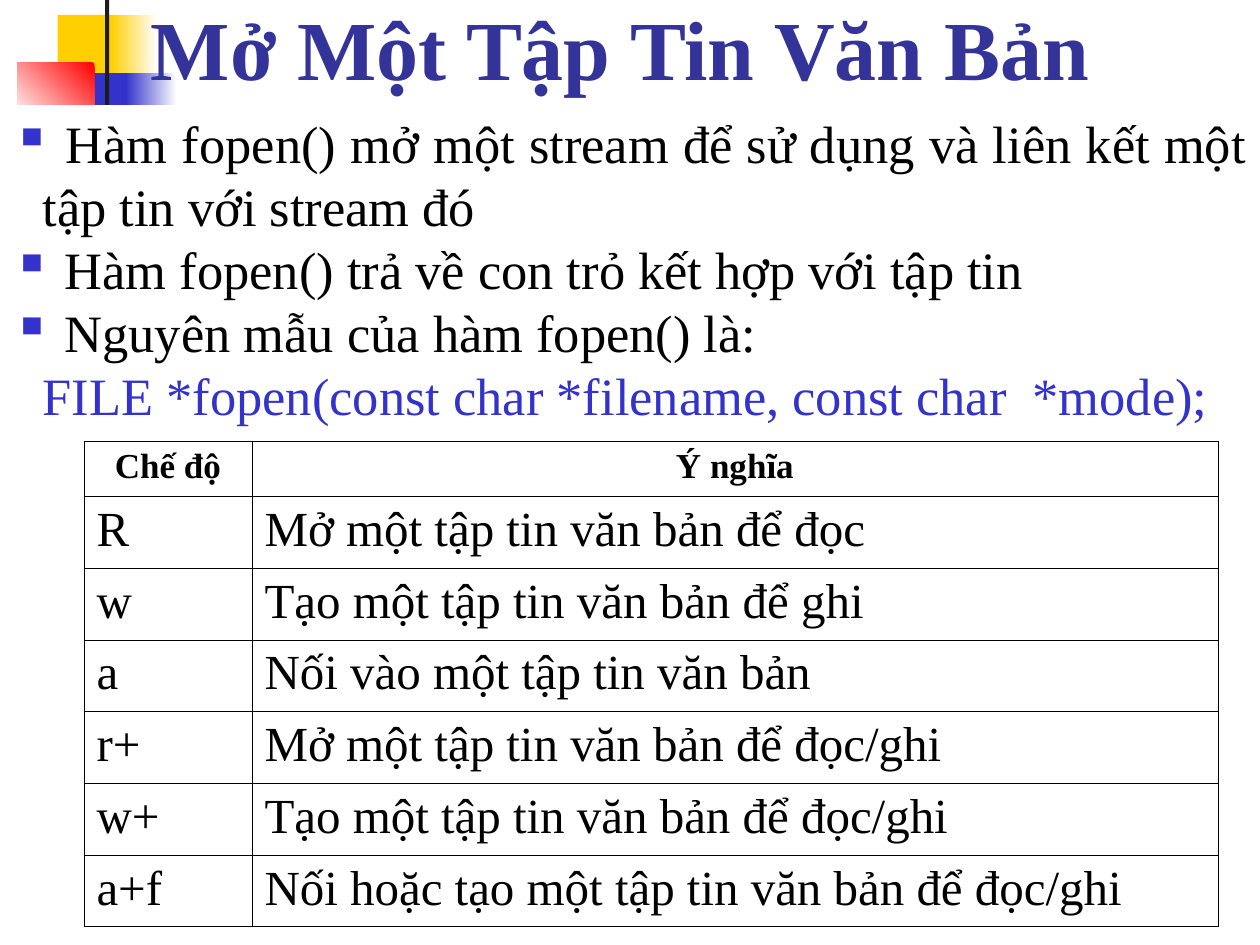
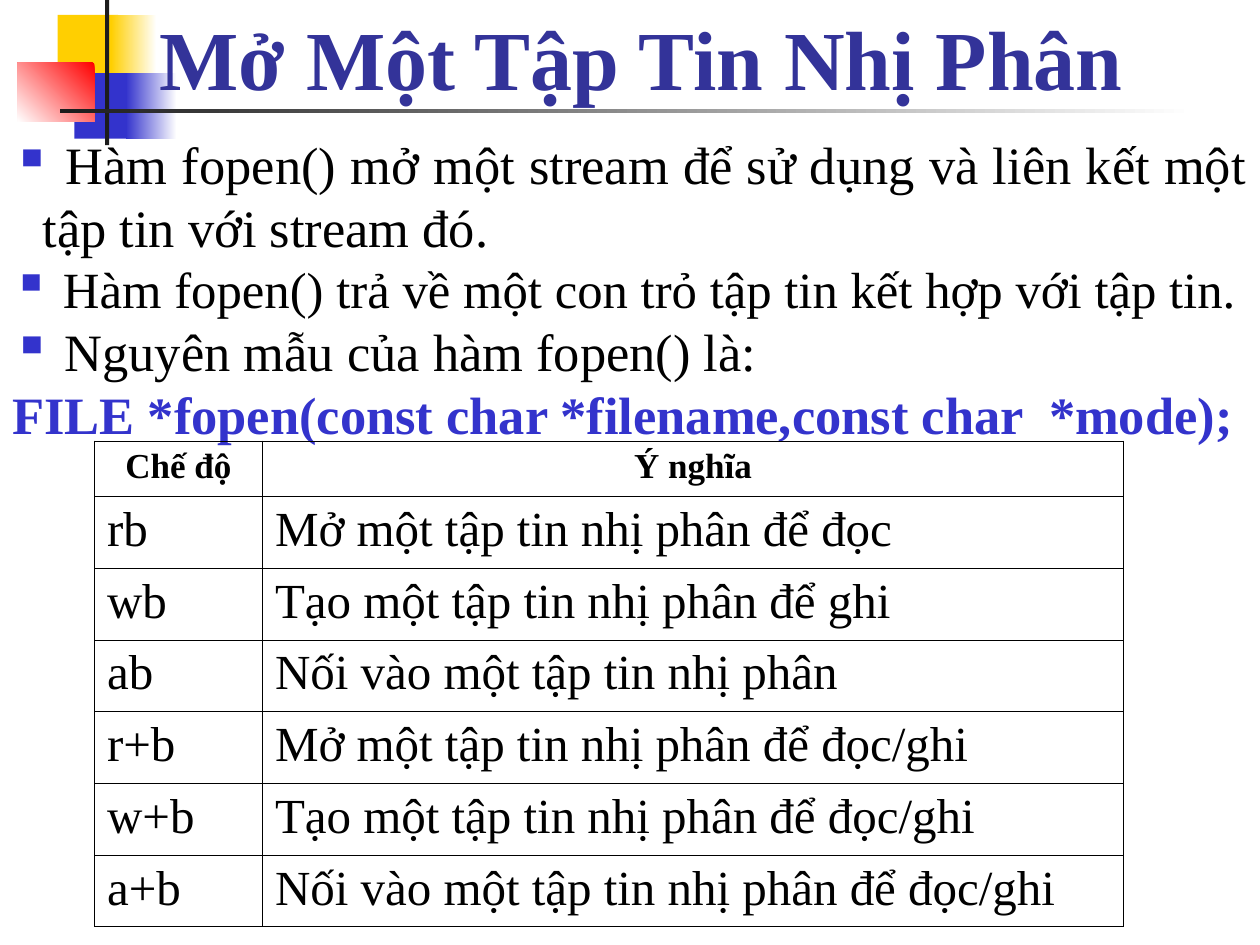
from lxml import etree
from pptx import Presentation
from pptx.dml.color import RGBColor
from pptx.enum import shapes, text
from pptx.oxml import ns
from pptx.util import Pt

FONT = "Times New Roman"
BLACK, WHITE, BLUE, TITLE_BLUE = "000000", "FFFFFF", "3333CC", "333399"
YELLOW, RED, DARK = "FFCF01", "FF0000", "1C1C1C"
HANG = 17.28


def rgb(value):
    return RGBColor.from_string(value)


def write(paragraph, wording, size, color=BLACK, bold=False, align=text.PP_ALIGN.JUSTIFY):
    paragraph.text = wording
    paragraph.alignment = align
    font = paragraph.runs[0].font
    font.name, font.size, font.bold = FONT, Pt(size), bold
    font.color.rgb = rgb(color)


# left, top, width, height, colours from first to last stop, gradient angle
DECORATION = [
    (33, 8.5, 34.5, 37.5, [YELLOW], 0),
    (63.5, 8.5, 26, 37.5, [WHITE, YELLOW], 180),
    (42.5, 41.75, 33, 37.5, [BLUE], 0),
    (72, 41.75, 29, 37.5, [WHITE, BLUE], 180),
    (10, 36, 44, 33.5, [RED, WHITE], 225),
    (60, 0, 2.4, 83, [DARK], 0),
    (34.5, 62.2, 648, 2.2, [WHITE, DARK], 180),
]

SLIDES = [
    {
        "title": "Mở Một Tập Tin Văn Bản",
        "title_box": (79, -5.75, 569, 65),
        "body_box": (0, 60, 720, 187),
        "body_fill": WHITE,
        "points": [
            (" Hàm fopen() mở một stream để sử dụng và liên kết một tập tin với stream đó", 30),
            (" Hàm fopen() trả về con trỏ kết hợp với tập tin", 30),
            (" Nguyên mẫu của hàm fopen() là:", 30),
        ],
        "prototype": "FILE *fopen(const char *filename, const char  *mode);",
        "prototype_indent": 0,
        "prototype_bold": False,
        "table_left": 48,
        "columns": (96, 552),
        "modes": [
            ("R", "Mở một tập tin văn bản để đọc"),
            ("w", "Tạo một tập tin văn bản để ghi"),
            ("a", "Nối vào một tập tin văn bản"),
            ("r+", "Mở một tập tin văn bản để đọc/ghi"),
            ("w+", "Tạo một tập tin văn bản để đọc/ghi"),
            ("a+f", "Nối hoặc tạo một tập tin văn bản để đọc/ghi"),
        ],
    },
    {
        "title": "Mở Một Tập Tin Nhị Phân",
        "title_box": (84, 0, 580, 65),
        "body_box": (0, 72, 720, 186.5),
        "body_fill": None,
        "points": [
            (" Hàm fopen() mở một stream để sử dụng và liên kết một tập tin với stream đó.", 30),
            (" Hàm fopen() trả về một con trỏ tập tin kết hợp với tập tin.", 29),
            (" Nguyên mẫu của hàm fopen() là:", 30),
        ],
        "prototype": "FILE *fopen(const char *filename,const char  *mode);",
        "prototype_indent": -HANG,
        "prototype_bold": True,
        "table_left": 54,
        "columns": (96, 492),
        "modes": [
            ("rb", "Mở một tập tin nhị phân để đọc"),
            ("wb", "Tạo một tập tin nhị phân để ghi"),
            ("ab", "Nối vào một tập tin nhị phân"),
            ("r+b", "Mở một tập tin nhị phân để đọc/ghi"),
            ("w+b", "Tạo một tập tin nhị phân để đọc/ghi"),
            ("a+b", "Nối vào một tập tin nhị phân để đọc/ghi"),
        ],
    },
]

deck = Presentation()
deck.slide_width, deck.slide_height = Pt(720), Pt(540)
title_only = deck.slide_layouts[5]
pages = [deck.slides.add_slide(title_only) for _ in SLIDES]

# The decoration is shared, so each block moves to the layout, behind its placeholders
for order, (left, top, width, height, colors, angle) in enumerate(DECORATION):
    block = pages[0].shapes.add_shape(
        shapes.MSO_SHAPE.RECTANGLE, Pt(left), Pt(top), Pt(width), Pt(height))
    block.shadow.inherit = False
    block.line.fill.background()
    if len(colors) == 1:
        block.fill.solid()
        block.fill.fore_color.rgb = rgb(colors[0])
    else:
        block.fill.gradient()
        block.fill.gradient_angle = angle
        for position, (stop, color) in enumerate(zip(block.fill.gradient_stops, colors)):
            stop.position = position
            stop.color.rgb = rgb(color)
    title_only.shapes.element.insert(2 + order, block.element)

for page, content in zip(pages, SLIDES):
    title = page.shapes.title
    title.left, title.top, title.width, title.height = map(Pt, content["title_box"])
    title.text_frame.auto_size = text.MSO_AUTO_SIZE.NONE
    title.text_frame.vertical_anchor = text.MSO_ANCHOR.BOTTOM
    write(title.text_frame.paragraphs[0], content["title"], 48, TITLE_BLUE, True,
          text.PP_ALIGN.LEFT)

    body = page.shapes.add_textbox(*map(Pt, content["body_box"]))
    if content["body_fill"]:
        body.fill.solid()
        body.fill.fore_color.rgb = rgb(content["body_fill"])
    frame = body.text_frame
    frame.word_wrap = True
    for number, (wording, size) in enumerate(content["points"]):
        point = frame.add_paragraph() if number else frame.paragraphs[0]
        write(point, wording, size)
        props = point._p.get_or_add_pPr()
        props.set("marL", str(Pt(HANG)))
        props.set("indent", str(Pt(-HANG)))
        bullet_color = etree.SubElement(props, ns.qn("a:buClr"))
        etree.SubElement(bullet_color, ns.qn("a:srgbClr"), val=BLUE)
        etree.SubElement(props, ns.qn("a:buChar"), char="▪")

    prototype = frame.add_paragraph()
    write(prototype, content["prototype"], 30, BLUE, content["prototype_bold"],
          text.PP_ALIGN.LEFT)
    props = prototype._p.get_or_add_pPr()
    props.set("marL", str(Pt(HANG)))
    props.set("indent", str(Pt(content["prototype_indent"])))

    rows = [("Chế độ", "Ý nghĩa")] + content["modes"]
    modes = page.shapes.add_table(
        len(rows), 2, Pt(content["table_left"]), Pt(252),
        Pt(sum(content["columns"])), Pt(278)).table
    modes.first_row = modes.horz_banding = False
    for column, width in zip(modes.columns, content["columns"]):
        column.width = Pt(width)
    for r, row in enumerate(rows):
        header = r == 0
        modes.rows[r].height = Pt(31.7 if header else 41)
        for c, wording in enumerate(row):
            cell = modes.cell(r, c)
            cell.fill.background()
            write(cell.text_frame.paragraphs[0], wording, 20 if header else 28, bold=header,
                  align=text.PP_ALIGN.CENTER if header else text.PP_ALIGN.JUSTIFY)
            cell_props = cell._tc.get_or_add_tcPr()
            for order, side in enumerate(("lnL", "lnR", "lnT", "lnB")):
                border = etree.Element(ns.qn("a:" + side), w=str(Pt(0.45)))
                line_fill = etree.SubElement(border, ns.qn("a:solidFill"))
                etree.SubElement(line_fill, ns.qn("a:srgbClr"), val=BLACK)
                cell_props.insert(order, border)

deck.save("out.pptx")
